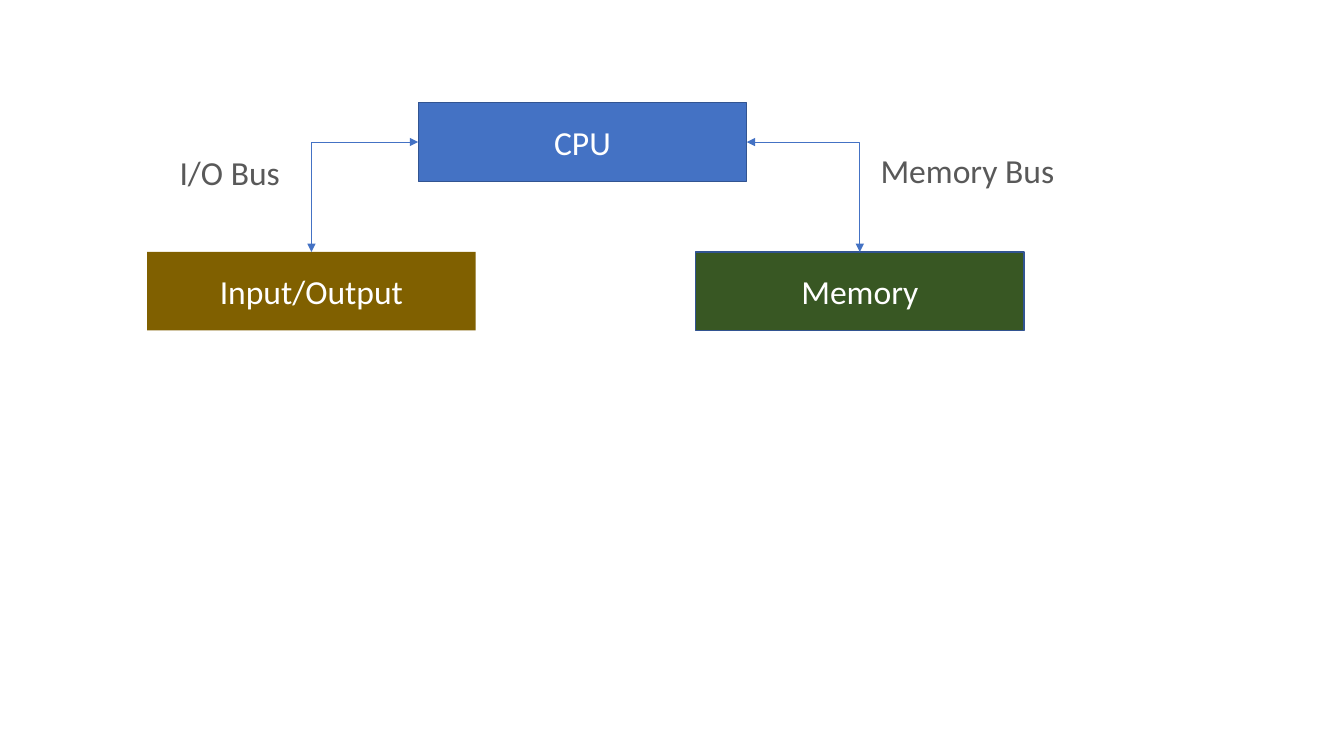
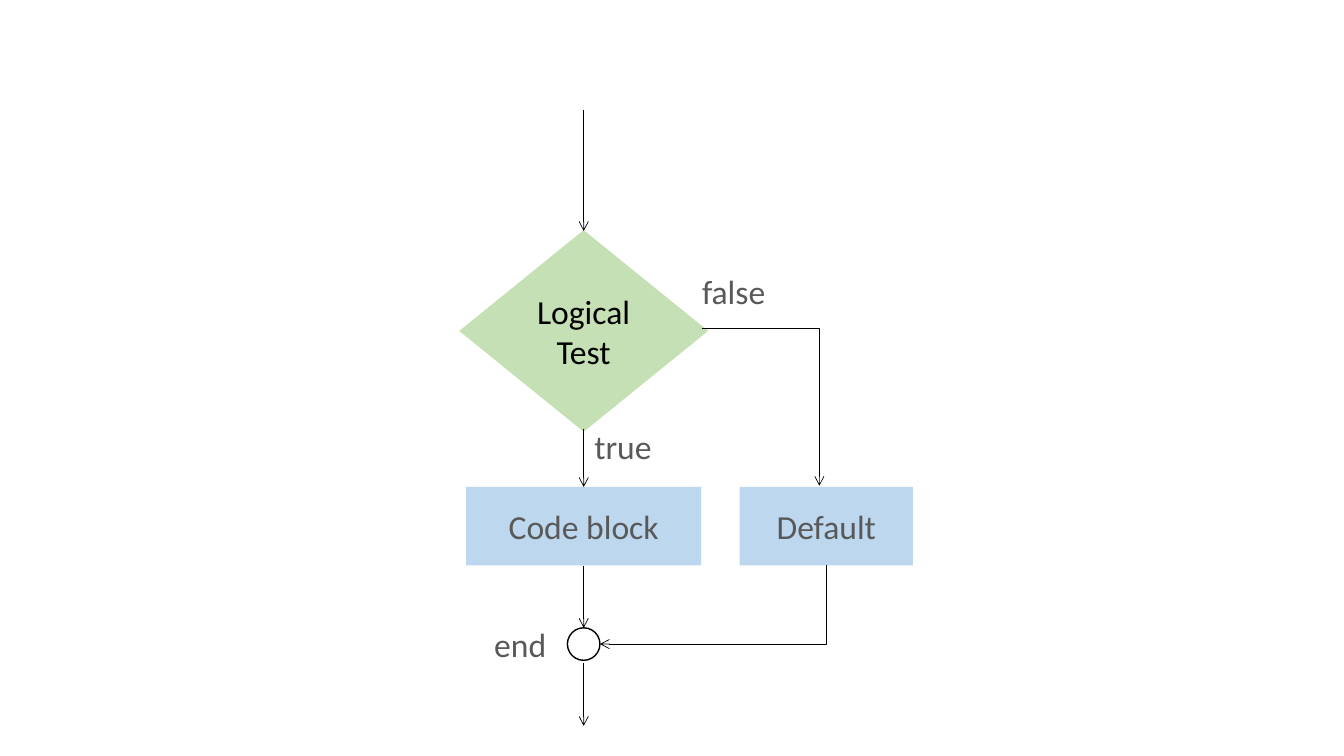
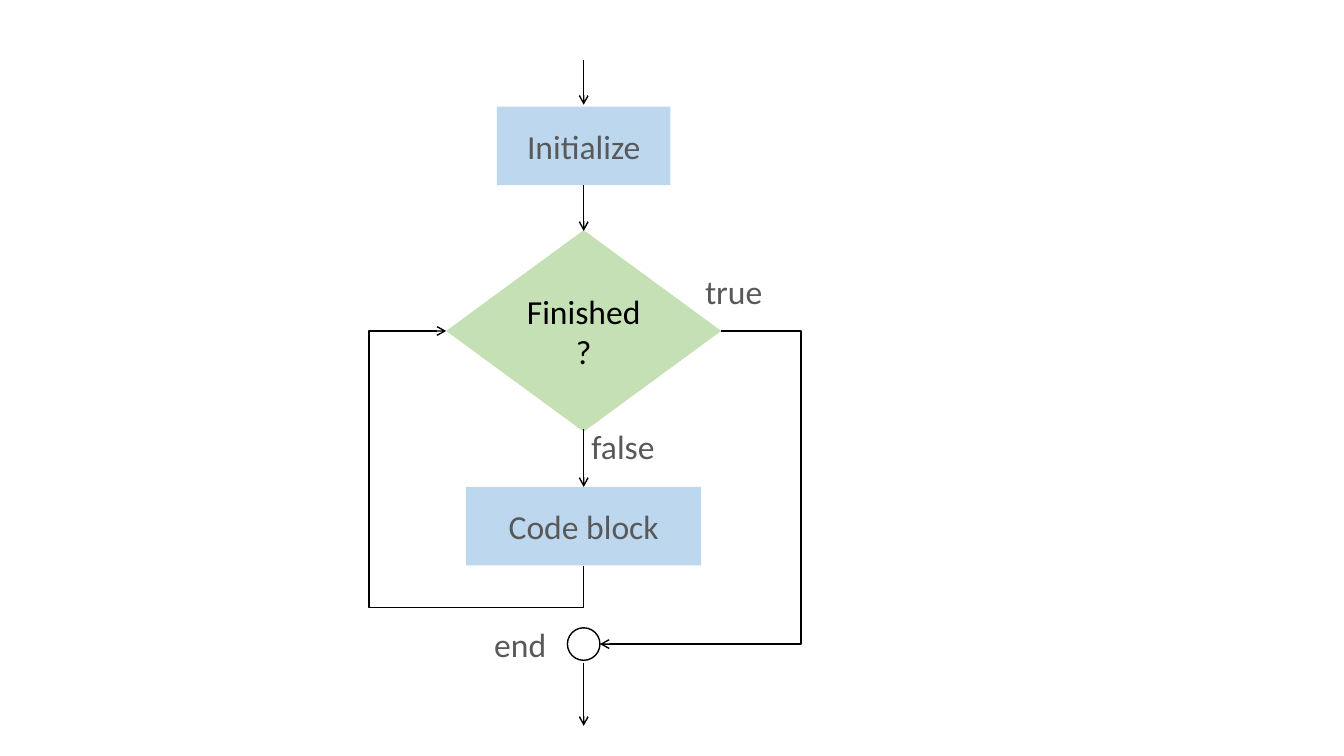
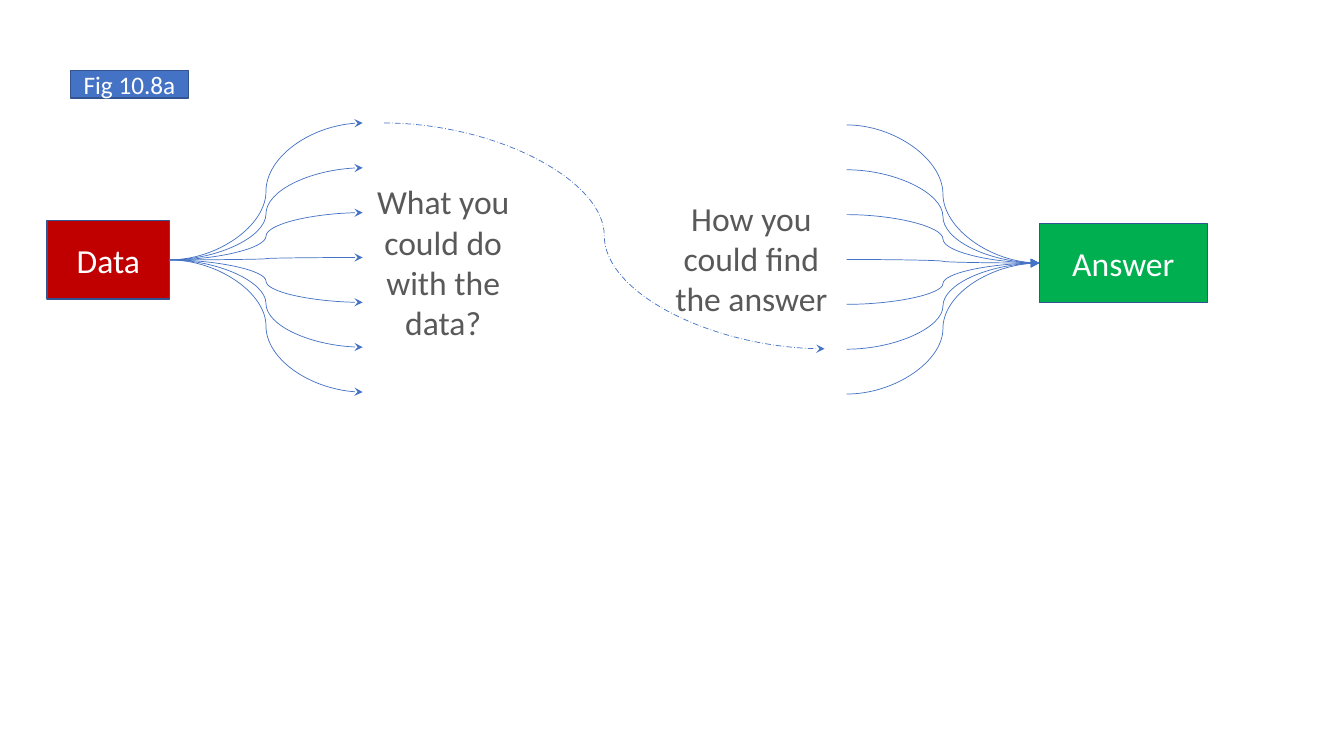
"""Build four diagrams: computer buses, a branch, a loop, and paths from data to answer."""
from dataclasses import dataclass
from typing import Optional

from lxml import etree
from pptx import Presentation
from pptx.dml.color import RGBColor
from pptx.enum import dml, shapes, text
from pptx.oxml import ns
from pptx.slide import Slide
from pptx.util import Cm, Pt

Point = tuple[float, float]
Kind = shapes.MSO_SHAPE


@dataclass(frozen=True)
class Theme:
    """Colours, font, type sizes and line widths of the deck."""

    font: str = "Calibri"
    body: float = 24
    small: float = 18
    thin: float = 0.5
    medium: float = 1
    white: str = "FFFFFF"
    black: str = "000000"
    grey: str = "595959"
    blue: str = "4472C4"
    navy: str = "325491"
    brown: str = "806000"
    forest: str = "385723"
    sky: str = "BDD7EE"
    mint: str = "C5E0B4"
    red: str = "C00000"
    green: str = "00B050"


THEME = Theme()


@dataclass(frozen=True)
class Node:
    """A filled shape, or a bare label when it has no fill; lengths in centimetres."""

    words: str
    x: float
    y: float
    width: float
    height: float = 1.98
    fill: Optional[str] = None
    border: Optional[str] = None
    ink: str = THEME.grey
    size: float = THEME.body
    kind: Kind = Kind.RECTANGLE

    @property
    def left(self) -> Point:
        """Return the middle of the left edge."""
        return self.x, self.y + self.height / 2

    @property
    def right(self) -> Point:
        """Return the middle of the right edge."""
        return self.x + self.width, self.y + self.height / 2

    @property
    def top(self) -> Point:
        """Return the middle of the top edge."""
        return self.x + self.width / 2, self.y

    @property
    def bottom(self) -> Point:
        """Return the middle of the bottom edge."""
        return self.x + self.width / 2, self.y + self.height


@dataclass(frozen=True)
class Wire:
    """A connector; a turned one leaves its start vertically."""

    start: Point
    end: Point
    preset: str = "line"
    color: str = THEME.black
    width: float = THEME.thin
    head: Optional[str] = None
    tail: Optional[str] = "arrow"
    turned: bool = False
    bends: tuple[float, ...] = ()
    dash: Optional[dml.MSO_LINE] = None


def draw_node(slide: Slide, node: Node) -> None:
    """Draw a shape or label with its centred words."""
    frame = [Cm(v) for v in (node.x, node.y, node.width, node.height)]
    if node.fill is None:
        shape = slide.shapes.add_textbox(*frame)
    else:
        shape = slide.shapes.add_shape(node.kind, *frame)
        shape.shadow.inherit = False
        shape.fill.solid()
        shape.fill.fore_color.rgb = RGBColor.from_string(node.fill)
        if node.border is None:
            shape.line.fill.background()
        else:
            shape.line.color.rgb = RGBColor.from_string(node.border)
            shape.line.width = Pt(THEME.medium)
    if not node.words:
        return
    body = shape.text_frame
    body.word_wrap = True
    body.vertical_anchor = text.MSO_ANCHOR.MIDDLE
    paragraph = body.paragraphs[0]
    paragraph.alignment = text.PP_ALIGN.CENTER
    run = paragraph.add_run()
    run.text = node.words
    run.font.name = THEME.font
    run.font.size = Pt(node.size)
    run.font.color.rgb = RGBColor.from_string(node.ink)


def draw_wire(slide: Slide, wire: Wire) -> None:
    """Draw a connector with its route, arrowheads and line style."""
    (x1, y1), (x2, y2) = wire.start, wire.end
    if wire.turned:
        middle_x, middle_y = (x1 + x2) / 2, (y1 + y2) / 2
        half_x, half_y = (y2 - y1) / 2, (x1 - x2) / 2
        x1, y1 = middle_x - half_x, middle_y - half_y
        x2, y2 = middle_x + half_x, middle_y + half_y
    connector = slide.shapes.add_connector(
        shapes.MSO_CONNECTOR.STRAIGHT, Cm(x1), Cm(y1), Cm(x2), Cm(y2))
    connector.line.color.rgb = RGBColor.from_string(wire.color)
    connector.line.width = Pt(wire.width)
    if wire.dash is not None:
        connector.line.dash_style = wire.dash

    properties = connector._element.spPr
    if wire.turned:
        properties.find(ns.qn("a:xfrm")).set("rot", str(90 * 60000))
    geometry = properties.find(ns.qn("a:prstGeom"))
    geometry.set("prst", wire.preset)
    guides = geometry.find(ns.qn("a:avLst"))
    for number, bend in enumerate(wire.bends, start=1):
        etree.SubElement(guides, ns.qn("a:gd"), name=f"adj{number}",
                         fmla=f"val {round(bend * 100000)}")
    outline = properties.find(ns.qn("a:ln"))
    for tag, arrow in (("a:headEnd", wire.head), ("a:tailEnd", wire.tail)):
        if arrow:
            etree.SubElement(outline, ns.qn(tag), type=arrow)
    etree.SubElement(properties, ns.qn("a:effectLst"))


def draw(slide: Slide, nodes: list[Node], wires: list[Wire]) -> None:
    """Draw the nodes of a diagram and then its wires."""
    for node in nodes:
        draw_node(slide, node)
    for wire in wires:
        draw_wire(slide, wire)


SPINE = 14.71
STEP_WIDTH = 4.37
CODE_BLOCK = Node("Code block", SPINE - 2.96, 12.27, 5.92, fill=THEME.sky)
END = Node("", SPINE - 0.41, 15.82, 0.82, 0.82, THEME.white, THEME.black, kind=Kind.OVAL)


def decision(question: str, width: float) -> Node:
    """Return the decision diamond on the spine."""
    return Node(question, SPINE - width / 2, 5.8, width, 5.08, THEME.mint,
                ink=THEME.black, kind=Kind.FLOWCHART_DECISION)


def down(start: float, end: float, width: float) -> Wire:
    """Return an arrow down the spine."""
    return Wire((SPINE, start), (SPINE, end), width=width)


def draw_flow(slide: Slide, test: Node, beside: str, below: str, width: float,
              steps: list[Node], wires: list[Wire]) -> None:
    """Draw the common part of a flowchart with its own steps and wires."""
    labels = [
        Node(beside, 17.27, 6.35, 2.44),
        Node(below, 14.48, 10.26, 2.44),
        Node("end", 11.89, 15.24, 2.44),
    ]
    common = [down(10.8, CODE_BLOCK.y, width), down(16.71, 18.29, width)]
    draw(slide, [CODE_BLOCK, test, END, *labels, *steps], common + wires)


def draw_buses(slide: Slide) -> None:
    """Draw the processor with its two buses."""
    width = 8.28
    devices = Node("Input/Output", 3.71, 6.35, width, fill=THEME.brown, ink=THEME.white)
    memory = Node("Memory", 17.53, 6.35, width, fill=THEME.forest,
                  border=THEME.navy, ink=THEME.white)
    cpu = Node("CPU", 10.54, 2.59, width, fill=THEME.blue,
               border=THEME.navy, ink=THEME.white)
    labels = [Node("I/O Bus", 1.65, 3.35, width), Node("Memory Bus", 20.24, 3.3, width)]
    buses = [
        Wire(start, end, "bentConnector2", THEME.blue, head="triangle", tail="triangle")
        for start, end in ((cpu.left, devices.top), (cpu.right, memory.top))
    ]
    draw(slide, [devices, memory, cpu, *labels], buses)


def draw_branch(slide: Slide) -> None:
    """Draw the choice between a code block and a default."""
    test = decision("Logical Test", 6.27)
    default = Node("Default", 18.64, CODE_BLOCK.y, STEP_WIDTH, fill=THEME.sky)
    wires = [
        down(2.77, 5.82, THEME.thin),
        down(CODE_BLOCK.bottom[1], END.y, THEME.thin),
        Wire((17.68, 8.28), (20.65, 12.24), "bentConnector2"),
        Wire(default.bottom, END.right, "bentConnector2", turned=True),
    ]
    draw_flow(slide, test, "false", "true", THEME.thin, [default], wires)


def draw_loop(slide: Slide) -> None:
    """Draw the loop that repeats a code block until finished."""
    test = decision("Finished?", 6.93)
    initialize = Node("Initialize", SPINE - STEP_WIDTH / 2, 2.69, STEP_WIDTH, fill=THEME.sky)
    wires = [
        down(1.52, 2.64, THEME.medium),
        down(initialize.bottom[1], 5.82, THEME.medium),
        Wire(test.right, END.right, "bentConnector3", width=THEME.medium, bends=(-0.66,)),
        Wire(CODE_BLOCK.bottom, test.left, "bentConnector4", width=THEME.medium,
             turned=True, bends=(-0.18, 1.56)),
    ]
    draw_flow(slide, test, "true", "false", THEME.medium, [initialize], wires)


def draw_paths(slide: Slide) -> None:
    """Draw the fans of paths out of the data and into the answer."""
    answer = Node("Answer", 26.19, 5.64, 4.24, fill=THEME.green,
                  border=THEME.navy, ink=THEME.white)
    data = Node("Data", 1.19, 5.56, 3.08, fill=THEME.red,
                border=THEME.navy, ink=THEME.white)
    uses = Node("What you could do with the data?", 8.81, 5.61, 4.72)
    methods = Node("How you could find the answer", 16.46, 5.51, 4.95)
    figure = Node("Fig 10.8a", 1.78, 1.78, 2.97, 0.69, THEME.blue, THEME.navy,
                  THEME.white, THEME.small)
    curve, count, pitch = "curvedConnector3", 7, 1.13
    first_use, first_method = 3.1, 3.15
    out = [
        Wire(data.right, (9.14, first_use + i * pitch), curve, THEME.blue, tail="stealth")
        for i in range(count)
    ]
    back = [
        Wire(answer.left, (21.34, first_method + i * pitch), curve, THEME.blue,
             head="triangle" if i else None, tail=None)
        for i in range(count)
    ]
    link = Wire((9.68, first_use), (20.78, 8.79), curve, THEME.blue, tail="stealth",
                dash=dml.MSO_LINE.LONG_DASH_DOT)
    draw(slide, [answer, data, uses, methods, figure], [*out, *back, link])


def main() -> None:
    """Build and save the deck."""
    deck = Presentation()
    deck.slide_width, deck.slide_height = Cm(33.87), Cm(19.05)
    blank = deck.slide_layouts[6]
    for draw_slide in (draw_buses, draw_branch, draw_loop, draw_paths):
        draw_slide(deck.slides.add_slide(blank))
    deck.save("out.pptx")


main()
